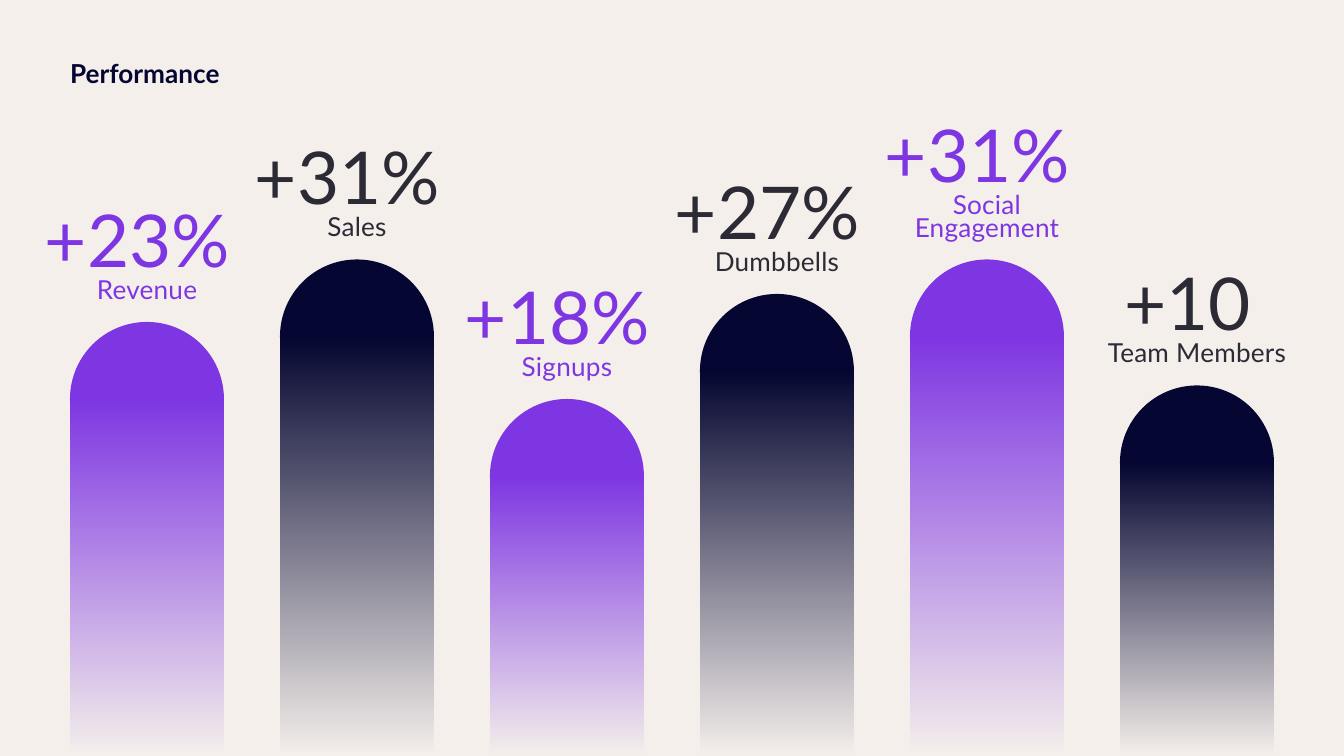
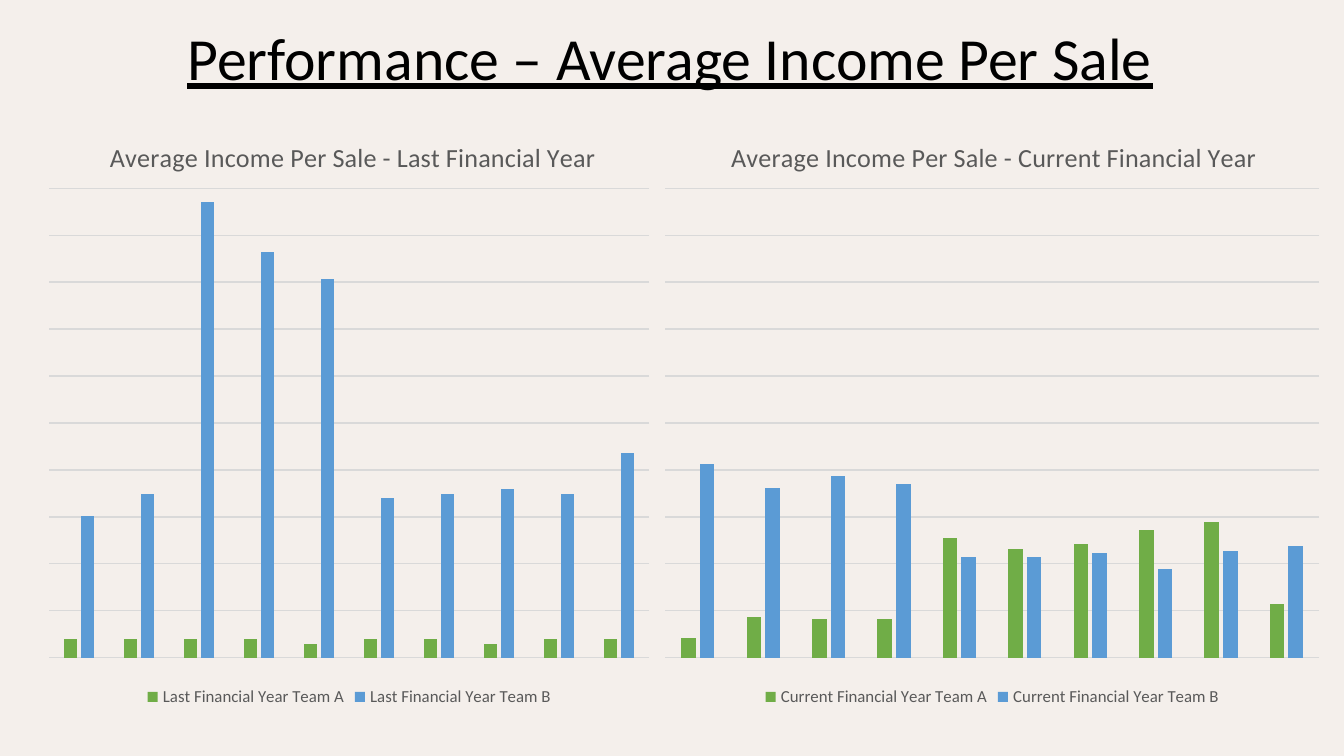
"""Build two slides on team performance."""
from lxml import etree
from pptx import Presentation
from pptx.chart import data as cd
from pptx.dml import color as dml
from pptx.enum import chart as ec, shapes, text
from pptx.oxml import ns
from pptx.util import Pt

PAPER, VIOLET, NAVY, INK = "F4EFEB", "7E36E2", "050631", "2B2A35"
GREEN, BLUE, GREY, RULE, BLACK = "70AD47", "5B9BD5", "595959", "D9D9D9", "000000"
WIDE, HIGH = 720, 405
LEFT, PITCH, BAR = 37.5, 112.5, 82.5
PILLARS = [
    ("+23% ", "Revenue", 172.5, 1),
    ("+31% ", "Sales", 139, 1),
    ("+18% ", "Signups", 213.75, 1),
    ("+27% ", "Dumbbells", 157.5, 1),
    ("+31% ", "Social Engagement", 139, 2),
    ("+10 ", "Team Members", 206.5, 1),
]
CHARTS = [
    ("Last Financial Year", (19.5, 59, 335, 322.5), 103,
     [4, 4, 4, 4, 3, 4, 4, 3, 4, 4],
     [31, 36, 100, 89, 83, 35, 36, 37, 36, 45]),
    ("Current Financial Year", (349, 59, 365, 322.5), 243,
     [10, 21, 20, 20, 62, 56, 59, 66, 70, 28],
     [100, 88, 94, 90, 52, 52, 54, 46, 55, 58]),
]


def rgb(code):
    """Turn a hex string into a colour."""
    return dml.RGBColor.from_string(code)


def style(font, size, code, face):
    """Set size, colour and face of a font."""
    font.size, font.name = Pt(size), face
    font.color.rgb = rgb(code)


def trim(frame):
    """Clear the insets, wrap the words and start at the top."""
    frame.margin_left = frame.margin_right = 0
    frame.margin_top = frame.margin_bottom = 0
    frame.word_wrap = True
    frame.auto_size = text.MSO_AUTO_SIZE.NONE
    frame.vertical_anchor = text.MSO_ANCHOR.TOP


def head(slide, words, box, size, code, face, align):
    """Fill and place the title, and return its paragraph."""
    title = slide.shapes.title
    title.left, title.top, title.width, title.height = map(Pt, box)
    trim(title.text_frame)
    title.text_frame.text = words
    para = title.text_frame.paragraphs[0]
    para.alignment = align
    style(para.font, size, code, face)
    return para


def solid(slide, kind, box):
    """Add a preset shape with no line or shadow, and return it."""
    shape = slide.shapes.add_shape(kind, *map(Pt, box))
    shape.shadow.inherit = False
    shape.line.fill.background()
    return shape


def pillar(slide, left, top, code):
    """Draw a round-topped bar that fades towards the slide's foot."""
    cap = solid(slide, shapes.MSO_SHAPE.OVAL, (left, top, BAR, BAR))
    cap.fill.solid()
    cap.fill.fore_color.rgb = rgb(code)
    mid = top + BAR / 2
    stem = solid(slide, shapes.MSO_SHAPE.RECTANGLE, (left, mid, BAR, HIGH - mid))
    stem.fill.gradient()
    stem.fill.gradient_angle = 90
    for stop, shade in zip(stem.fill.gradient_stops, (PAPER, code)):
        stop.color.rgb = rgb(shade)


def label(slide, left, top, figure, name, rows, code):
    """Write a figure and its name above a bar."""
    tall = 35.5 + 12 * rows
    box = slide.shapes.add_textbox(
        Pt(left - 16), Pt(top - 9 - tall), Pt(BAR + 32), Pt(tall))
    frame = box.text_frame
    trim(frame)
    lines = ((figure, 39, 35.1), (name, 14, 12.2))
    for row, (words, size, lead) in enumerate(lines):
        para = frame.add_paragraph() if row else frame.paragraphs[0]
        run = para.add_run()
        run.text = words
        run.font._element.set("spc", "10")
        para.alignment = text.PP_ALIGN.CENTER
        para.line_spacing = Pt(lead)
        style(para.font, size, code, "Lato")


def growth(slide):
    """Build the slide of growth pillars."""
    para = head(slide, "Performance", (LEFT, 37.5, 93.5, 10), 14, NAVY, "Lato",
                text.PP_ALIGN.LEFT)
    para.font.bold = True
    para.line_spacing = Pt(10.1)
    for spot, (figure, name, top, rows) in enumerate(PILLARS):
        left = LEFT + spot * PITCH
        fill, ink = ((VIOLET, VIOLET), (NAVY, INK))[spot % 2]
        pillar(slide, left, top, fill)
        label(slide, left, top, figure, name, rows, ink)


def layout(node, spot, **sizes):
    """Give a chart part a fixed place, in shares of the chart."""
    for old in node.findall(ns.qn("c:layout")):
        node.remove(old)
    outer = etree.Element(ns.qn("c:layout"))
    inner = etree.SubElement(outer, ns.qn("c:manualLayout"))
    if "w" in sizes:
        etree.SubElement(inner, ns.qn("c:layoutTarget")).set("val", "inner")
    for key in ("x", "y"):
        etree.SubElement(inner, ns.qn(f"c:{key}Mode")).set("val", "edge")
    for key, share in sizes.items():
        etree.SubElement(inner, ns.qn(f"c:{key}")).set("val", str(share))
    node.insert(spot, outer)


def columns(slide, year, box, peak, *teams):
    """Draw one year's clustered columns in the given box."""
    data = cd.CategoryChartData(number_format="[$$-4809]#,##0")
    data.categories = [str(n) for n in range(1, 11)]
    for team, vals in zip("AB", teams):
        data.add_series(f"{year} Team {team}", vals)
    chart = slide.shapes.add_chart(
        ec.XL_CHART_TYPE.COLUMN_CLUSTERED, *map(Pt, box), data).chart
    style(chart.font, 10, BLACK, "Calibri")

    chart.has_title = True
    title = chart.chart_title
    title.include_in_layout = False
    title.text_frame.text = f"Average Income Per Sale - {year}"
    font = title.text_frame.paragraphs[0].font
    style(font, 14, GREY, "Calibri")
    font.bold = False
    layout(title._element, 1, x=0.11, y=0.04)

    chart.has_legend = True
    chart.legend.position = ec.XL_LEGEND_POSITION.BOTTOM
    chart.legend.include_in_layout = False
    style(chart.legend.font, 9, GREY, "Calibri")

    axis = chart.value_axis
    axis.minimum_scale, axis.maximum_scale = 0, peak
    axis.major_unit = peak / 10
    axis.has_major_gridlines = True
    axis.major_gridlines.format.line.color.rgb = rgb(RULE)
    axis.major_gridlines.format.line.width = Pt(0.75)
    axis.visible = chart.category_axis.visible = False

    plot = chart.plots[0]
    plot.gap_width, plot.overlap = 219, -27
    plot.vary_by_categories = False
    for series, code in zip(plot.series, (GREEN, BLUE)):
        series.format.fill.solid()
        series.format.fill.fore_color.rgb = rgb(code)
    area = chart.element.find(".//" + ns.qn("c:plotArea"))
    layout(area, 0, x=0.02, y=0.13, w=0.96, h=0.78)


def income(slide):
    """Build the slide of income charts."""
    para = head(slide, "Performance – Average Income Per Sale",
                (12, 11, 694, 57), 32, BLACK, "Calibri", text.PP_ALIGN.CENTER)
    para.font.underline = True
    for entry in CHARTS:
        columns(slide, *entry)


def main():
    """Make the deck and save it."""
    deck = Presentation()
    deck.slide_width, deck.slide_height = Pt(WIDE), Pt(HIGH)
    back = deck.slide_master.background.fill
    back.solid()
    back.fore_color.rgb = rgb(PAPER)
    for build in (growth, income):
        build(deck.slides.add_slide(deck.slide_layouts[5]))
    deck.save("out.pptx")


if __name__ == "__main__":
    main()
